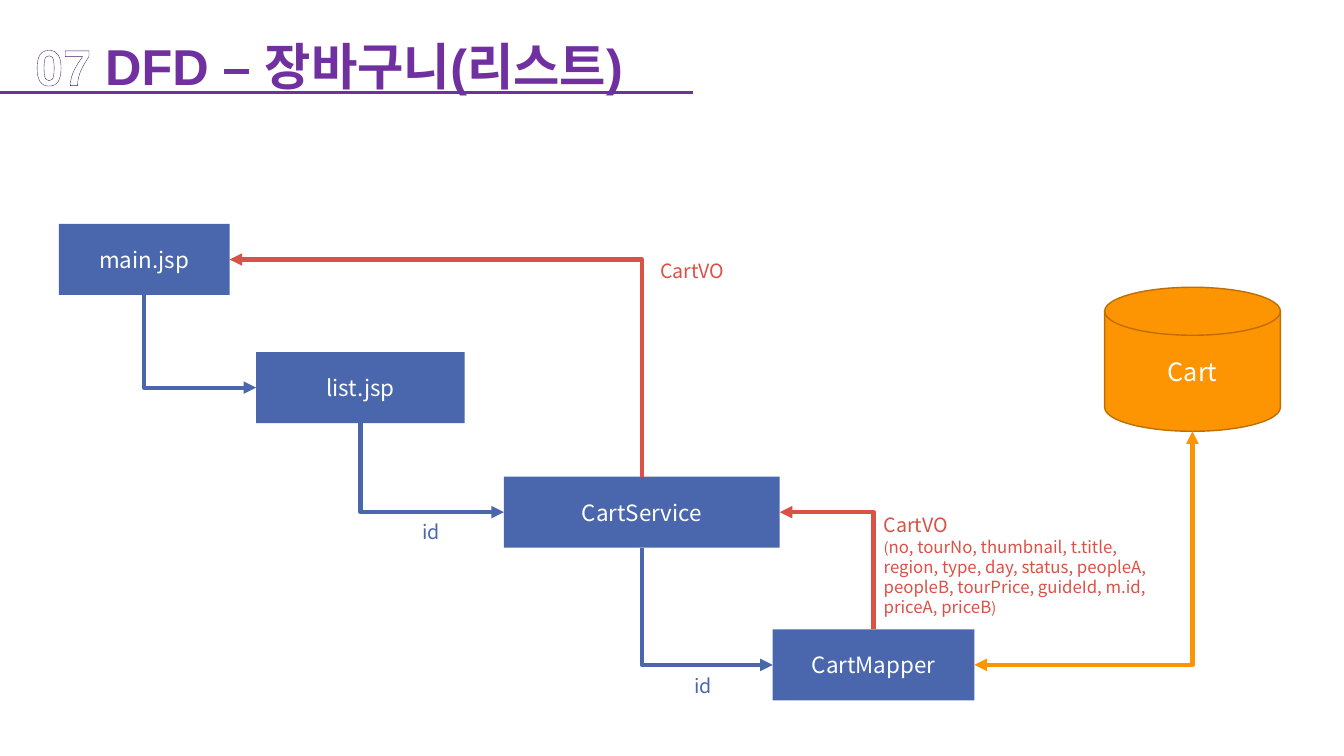
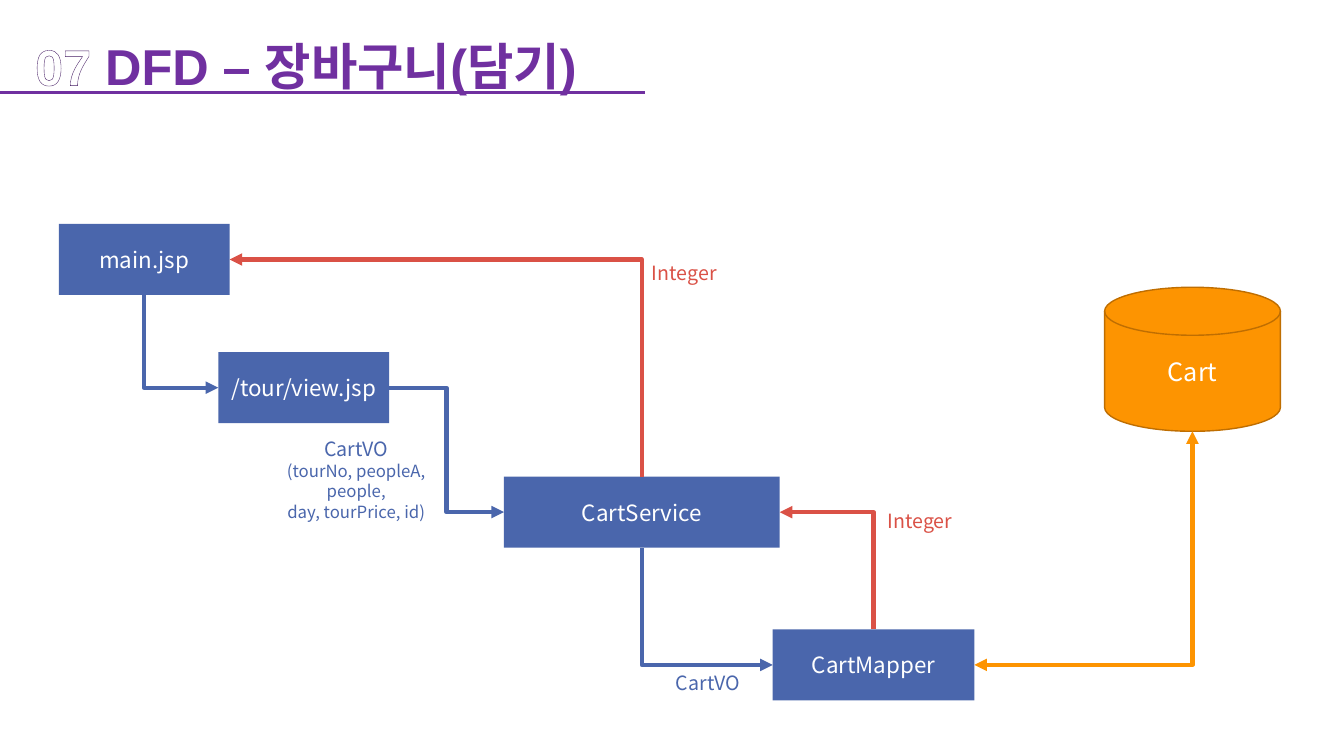
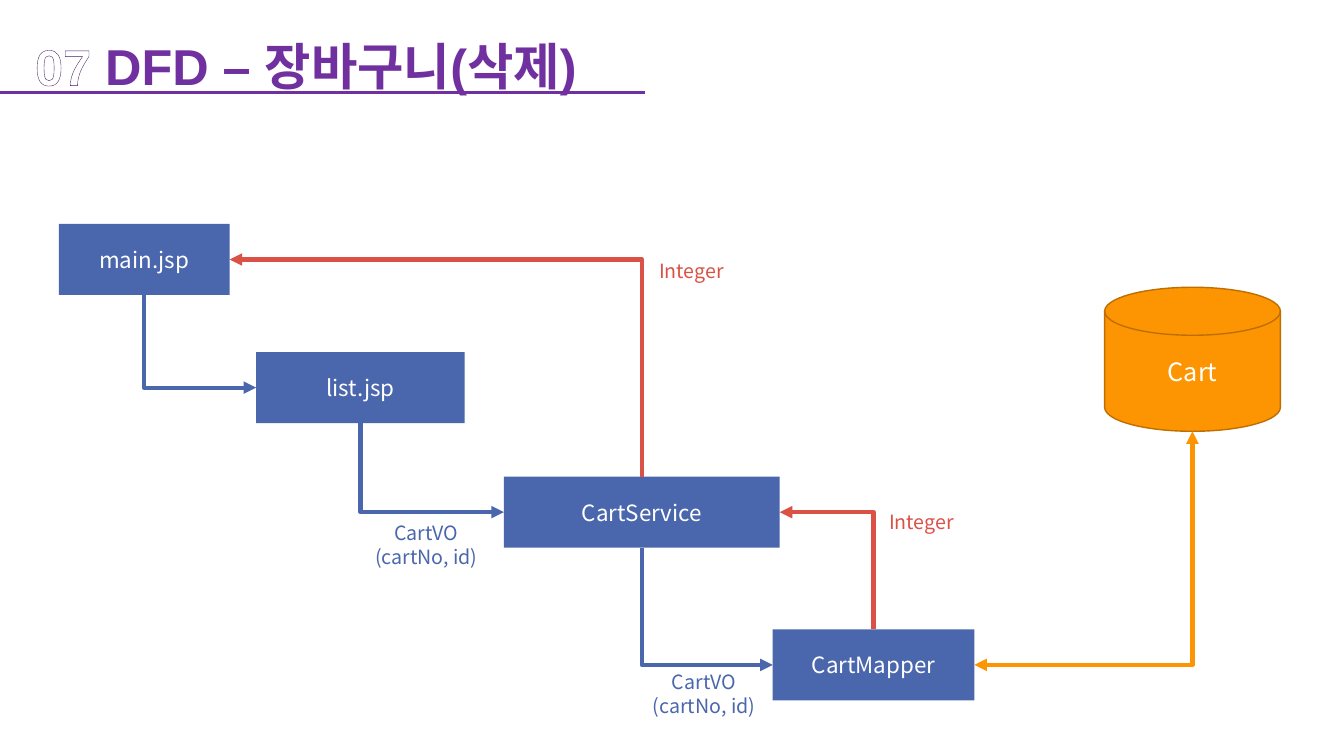
from pptx import Presentation
from pptx.dml.color import RGBColor
from pptx.enum.shapes import MSO_CONNECTOR, MSO_SHAPE
from pptx.enum.text import MSO_ANCHOR, MSO_AUTO_SIZE, PP_ALIGN
from pptx.oxml import parse_xml
from pptx.oxml.ns import nsdecls, qn
from pptx.oxml.xmlchemy import OxmlElement
from pptx.util import Pt

COLOURS = {
    "white": "FFFFFF", "purple": "7030A0", "outline": "461E64", "blue": "4A66AC",
    "red": "DA5146", "orange": "FD9401", "brown": "BF6E01",
}
RGB = {name: RGBColor.from_string(value) for name, value in COLOURS.items()}
BODY_FONT = "Noto Sans CJK KR"
TITLE_FONT = {"name": "Arial", "size": Pt(36), "bold": True}
LABEL_FRAME = {"word_wrap": True, "auto_size": MSO_AUTO_SIZE.SHAPE_TO_FIT_TEXT}
BOX_FRAME = {"word_wrap": True, "vertical_anchor": MSO_ANCHOR.MIDDLE}
LEFT, CENTRE = PP_ALIGN.LEFT, PP_ALIGN.CENTER

# Connection sites of a rectangle; the disk has its bottom at another index
TOP_SITE, LEFT_SITE, BOTTOM_SITE, RIGHT_SITE = range(4)
DISK_BOTTOM_SITE = 3
SITE_POSITION = {TOP_SITE: (0.5, 0), LEFT_SITE: (0, 0.5),
                 BOTTOM_SITE: (0.5, 1), RIGHT_SITE: (1, 0.5)}

# Boxes: left, top, width
BOX_HEIGHT = 50.7
SHARED_BOXES = {
    "main.jsp": (42, 160, 122),
    "CartService": (360, 340.5, 197),
    "CartMapper": (552, 449.6, 144),
}
LIST_PAGE = ("list.jsp", (183, 251.6, 149), BOTTOM_SITE)
VIEW_PAGE = ("/tour/view.jsp", (156, 251.6, 122), RIGHT_SITE)

# Labels: left, top, width, height, colour, alignment, lines of (text, size) runs
CART_VO = [("CartVO", 14)]
INTEGER = [("Integer", 14)]
ID = [("id", 14)]
CART_KEYS = [CART_VO, [("(cartNo, id)", 14)]]
SLIDES = [
    {"action": "리스트", "rule": 495, "page": LIST_PAGE, "labels": [
        (437.8, 478, 129, 24.2, "blue", CENTRE, [ID]),
        (464.4, 181.5, 204.5, 24.2, "red", LEFT, [CART_VO]),
        (624.2, 362.7, 204.5, 82, "red", LEFT, [
            CART_VO,
            [("(", 10.5), ("no, tourNo, thumbnail, t.title, region, type, day, status, "
                           "peopleA, peopleB, tourPrice, guideId, m.id,", 12)],
            [("priceA, priceB", 12), (")", 10.5)],
        ]),
        (243.4, 368, 129, 24.2, "blue", CENTRE, [ID]),
    ]},
    {"action": "담기", "rule": 461, "page": VIEW_PAGE, "labels": [
        (627, 360, 204.5, 24.2, "red", LEFT, [INTEGER]),
        (458.6, 182.9, 204.5, 24.2, "red", LEFT, [INTEGER]),
        (185, 308.9, 139, 67.7, "blue", CENTRE, [
            CART_VO, [("(tourNo, peopleA, people,", 12)], [("day, tourPrice, id)", 12)],
        ]),
        (446.4, 476, 118.8, 24.2, "blue", CENTRE, [CART_VO]),
    ]},
    {"action": "삭제", "rule": 461, "page": LIST_PAGE, "labels": [
        (628, 361, 204.5, 24.2, "red", LEFT, [INTEGER]),
        (463.7, 181.4, 204.5, 24.2, "red", LEFT, [INTEGER]),
        (257.8, 368.6, 93.6, 41, "blue", CENTRE, CART_KEYS),
        (443.5, 475.2, 118.8, 41, "blue", CENTRE, CART_KEYS),
    ]},
]


def write(frame, lines, colour, align, settings):
    for name, value in settings.items():
        setattr(frame, name, value)
    for number, line in enumerate(lines):
        paragraph = frame.add_paragraph() if number else frame.paragraphs[0]
        paragraph.alignment = align
        for text, size in line:
            run = paragraph.add_run()
            run.text = text
            run.font.name, run.font.size = BODY_FONT, Pt(size)
            run.font.color.rgb = RGB[colour]


def draw_line(shapes, kind, begin, end, colour, width, arrows=()):
    line = shapes.add_connector(kind, *begin, *end)
    line.line.color.rgb, line.line.width = RGB[colour], Pt(width)
    for arrow in arrows:
        head = OxmlElement(f"a:{arrow}")
        head.set("type", "triangle")
        line.line._get_or_add_ln().append(head)
    line._element.spPr.append(OxmlElement("a:effectLst"))
    return line


prs = Presentation()
prs.slide_width, prs.slide_height = Pt(960), Pt(540)

for content in SLIDES:
    shapes = prs.slides.add_slide(prs.slide_layouts[6]).shapes

    # Title with an outlined number, and its rule
    title = shapes.add_textbox(Pt(18), Pt(0), Pt(902), Pt(72.7)).text_frame
    title.word_wrap = True
    title.paragraphs[0].line_spacing = 1.5
    for text, colour in (("07", "white"), (f" DFD – 장바구니({content['action']})", "purple")):
        run = title.paragraphs[0].add_run()
        run.text = text
        for name, value in TITLE_FONT.items():
            setattr(run.font, name, value)
        run.font.color.rgb = RGB[colour]
        east_asian = OxmlElement("a:ea")
        east_asian.set("typeface", BODY_FONT)
        run.font._element.append(east_asian)
    number_outline = parse_xml(
        f'<a:ln {nsdecls("a")} w="{Pt(0.75)}"><a:solidFill>'
        f'<a:srgbClr val="{COLOURS["outline"]}"/></a:solidFill></a:ln>')
    title.paragraphs[0].runs[0].font._element.insert(0, number_outline)
    draw_line(shapes, MSO_CONNECTOR.STRAIGHT, (Pt(0), Pt(65.8)),
              (Pt(content["rule"]), Pt(65.8)), "purple", 2.25)

    # Program boxes
    page, page_place, page_exit = content["page"]
    boxes = {}
    for name, (left, top, width) in {**SHARED_BOXES, page: page_place}.items():
        box = shapes.add_shape(MSO_SHAPE.RECTANGLE, Pt(left), Pt(top), Pt(width), Pt(BOX_HEIGHT))
        box.fill.solid()
        box.fill.fore_color.rgb = RGB["blue"]
        box.line.fill.background()
        box.shadow.inherit = False
        write(box.text_frame, [[(name, 16)]], "white", CENTRE, BOX_FRAME)
        boxes[name] = box

    # Cart table
    disk = shapes.add_shape(MSO_SHAPE.FLOWCHART_MAGNETIC_DISK,
                            Pt(789), Pt(205.2), Pt(125.6), Pt(102.9))
    disk.fill.solid()
    disk.fill.fore_color.rgb = RGB["orange"]
    disk.line.color.rgb, disk.line.width = RGB["brown"], Pt(1)
    disk.shadow.inherit = False
    write(disk.text_frame, [[("Cart", 18)]], "white", CENTRE, BOX_FRAME)
    boxes["Cart"] = disk

    # Flows, each drawn from its target back to its source: the target leg is horizontal
    flows = [
        ("main.jsp", BOTTOM_SITE, page, LEFT_SITE, "blue"),
        (page, page_exit, "CartService", LEFT_SITE, "blue"),
        ("CartService", BOTTOM_SITE, "CartMapper", LEFT_SITE, "blue"),
        ("CartMapper", TOP_SITE, "CartService", RIGHT_SITE, "red"),
        ("CartService", TOP_SITE, "main.jsp", RIGHT_SITE, "red"),
        ("Cart", BOTTOM_SITE, "CartMapper", RIGHT_SITE, "orange"),
    ]
    for source, source_site, target, target_site, colour in flows:
        start, finish = [
            (int(box.left + box.width * SITE_POSITION[site][0]),
             int(box.top + box.height * SITE_POSITION[site][1]))
            for box, site in ((boxes[source], source_site), (boxes[target], target_site))]
        arrows = ("headEnd", "tailEnd") if source == "Cart" else ("headEnd",)
        flow = draw_line(shapes, MSO_CONNECTOR.ELBOW, finish, start, colour, 3, arrows)
        flow.begin_connect(boxes[target], target_site)
        flow.end_connect(boxes[source], DISK_BOTTOM_SITE if source == "Cart" else source_site)
        flow.end_x, flow.end_y = start
        if source_site != RIGHT_SITE:
            flow._element.spPr.find(qn("a:prstGeom")).set("prst", "bentConnector2")

    # Data labels
    for left, top, width, height, colour, align, lines in content["labels"]:
        label = shapes.add_textbox(Pt(left), Pt(top), Pt(width), Pt(height))
        write(label.text_frame, lines, colour, align, LABEL_FRAME)

prs.save("out.pptx")
